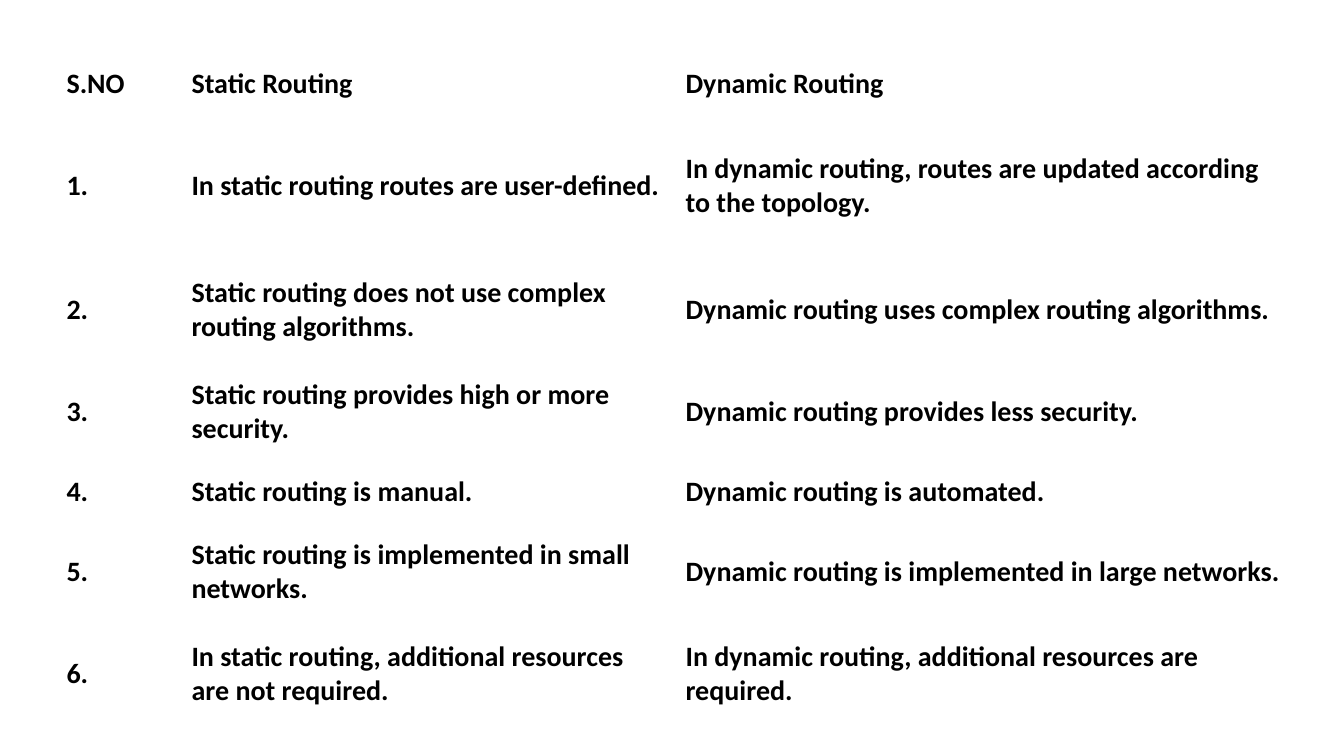
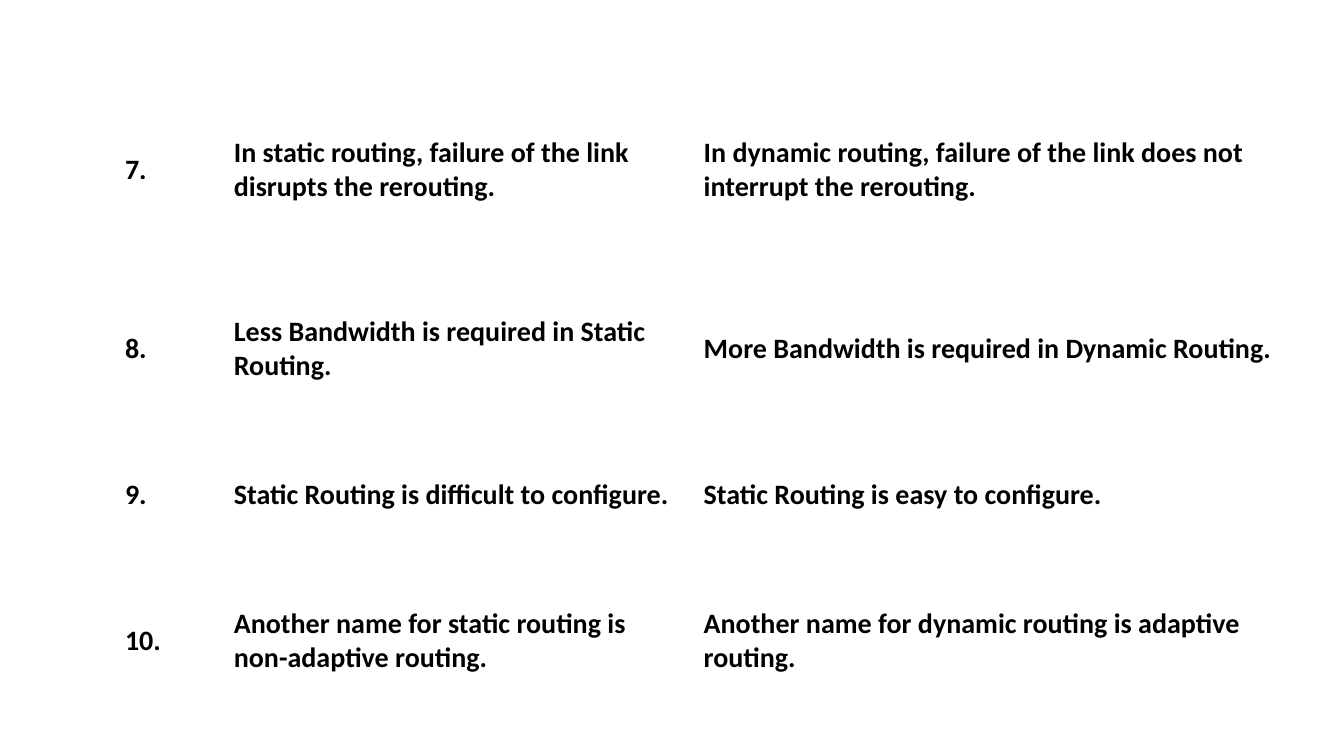
from pptx import Presentation
from pptx import util as u
from pptx.dml.color import RGBColor
from pptx.enum import text

PX = u.Inches(1) // 100
INK, PAPER = "000000", "FFFFFF"
FONT = {"name": "Calibri", "size": u.Pt(20), "bold": True}
CELL = {"margin_left": 9 * PX, "margin_right": 9 * PX, "margin_top": 5 * PX,
        "margin_bottom": 5 * PX, "vertical_anchor": text.MSO_ANCHOR.MIDDLE}
PLAIN = {"first_row": False, "horz_banding": False}

FIRST_ROWS = [
    ("S.NO", "Static Routing", "Dynamic Routing"),
    ("1.", "In static routing routes are user-defined.",
     "In dynamic routing, routes are updated according to the topology."),
    ("2.", "Static routing does not use complex routing algorithms.",
     "Dynamic routing uses complex routing algorithms."),
    ("3.", "Static routing provides high or more security.",
     "Dynamic routing provides less security."),
    ("4.", "Static routing is manual.", "Dynamic routing is automated."),
    ("5.", "Static routing is implemented in small networks.",
     "Dynamic routing is implemented in large networks."),
    ("6.", "In static routing, additional resources are not required.",
     "In dynamic routing, additional resources are required."),
]
LAST_ROWS = [
    ("7.", "In static routing, failure of the link disrupts the rerouting.",
     "In dynamic routing, failure of the link does not interrupt the rerouting."),
    ("8.", "Less Bandwidth is required in Static Routing.",
     "More Bandwidth is required in Dynamic Routing."),
    ("9.", "Static Routing is difficult to configure.",
     "Static Routing is easy to configure."),
    ("10.", "Another name for static routing is non-adaptive routing.",
     "Another name for dynamic routing is adaptive routing."),
]


def color(value):
    """Turn a hex string into a colour."""
    return RGBColor.from_string(value)


def apply(target, values):
    """Set each attribute of a dict on the target."""
    for key, value in values.items():
        setattr(target, key, value)


def fill_cell(cell, words):
    """Write and format one table cell."""
    apply(cell, CELL)
    cell.fill.solid()
    cell.fill.fore_color.rgb = color(PAPER)
    r = cell.text_frame.paragraphs[0].add_run()
    r.text = words
    apply(r.font, FONT)
    r.font.color.rgb = color(INK)


def comparison_slide(prs, left, top, widths, heights, rows):
    """Add a slide with one comparison table at the given corner."""
    s = prs.slides.add_slide(prs.slide_layouts[6])
    box = [n * PX for n in (left, top, sum(widths), sum(heights))]
    table = s.shapes.add_table(len(rows), len(widths), *box).table
    apply(table, PLAIN)
    for column, width in zip(table.columns, widths):
        column.width = width * PX
    for row, height, words in zip(table.rows, heights, rows):
        row.height = height * PX
        for cell, word in zip(row.cells, words):
            fill_cell(cell, word)


def main():
    """Build and save the presentation."""
    prs = Presentation()
    apply(prs, {"slide_width": 1333 * PX, "slide_height": 750 * PX})
    comparison_slide(prs, 57, 54, (124, 490, 616),
                     (58, 145, 101, 101, 58, 101, 101), FIRST_ROWS)
    comparison_slide(prs, 115, 64, (108, 466, 581),
                     (209, 146, 144, 146), LAST_ROWS)
    prs.save("out.pptx")


if __name__ == "__main__":
    main()
